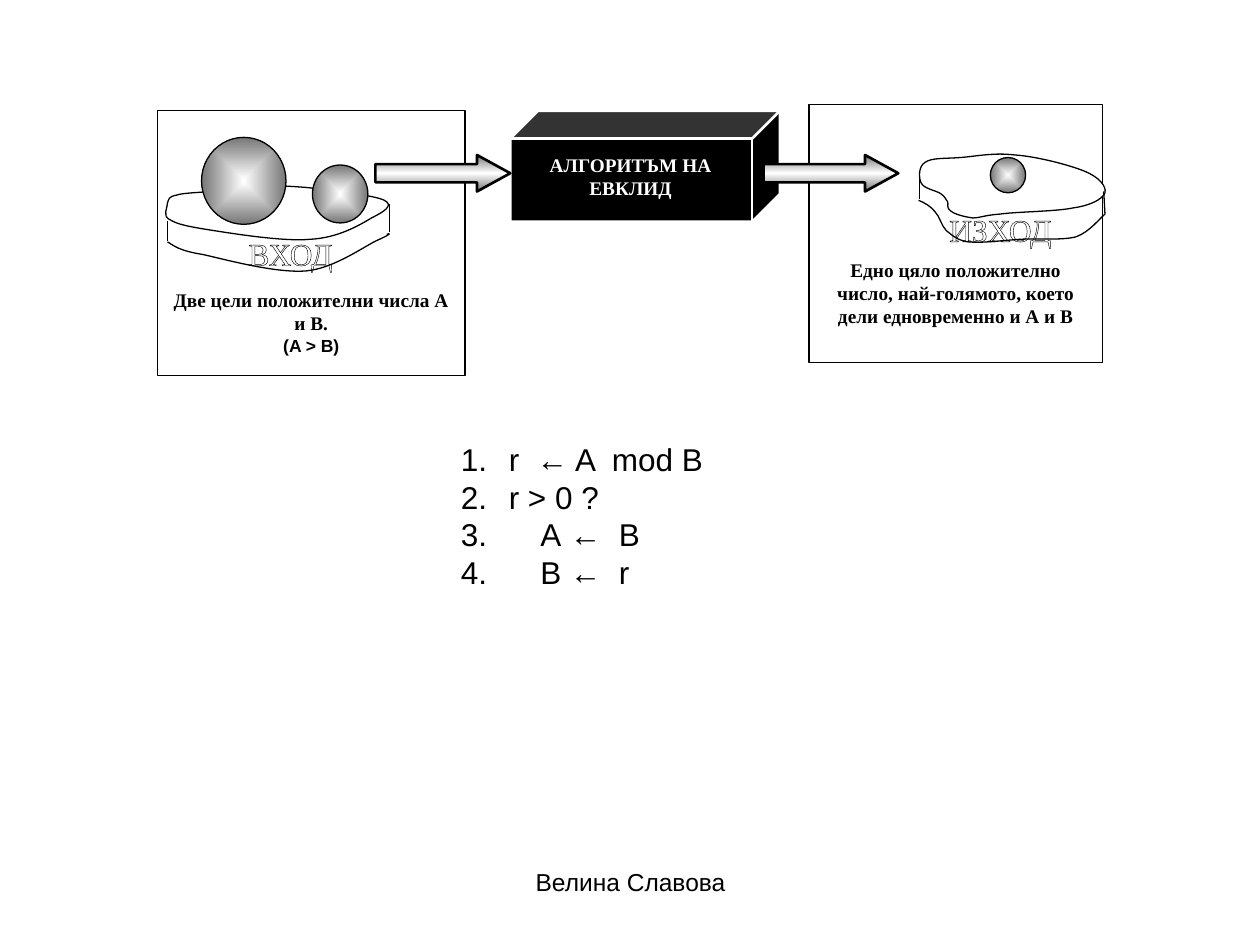
from dataclasses import dataclass

from lxml.etree import SubElement
from pptx import Presentation
from pptx.dml.color import RGBColor
from pptx.enum.shapes import MSO_CONNECTOR, MSO_SHAPE
from pptx.enum.text import MSO_ANCHOR, PP_ALIGN
from pptx.oxml import parse_xml
from pptx.oxml.ns import nsdecls, qn
from pptx.util import Inches, Pt


@dataclass(frozen=True)
class Theme:
    """Colours, fonts and sizes of the slide."""
    black: RGBColor = RGBColor(0, 0, 0)
    white: RGBColor = RGBColor(255, 255, 255)
    shade: str = "767676"
    light: str = "FFFFFF"
    serif: str = "Times New Roman"
    sans: str = "Arial"
    note: int = 10
    caption: int = 11
    footer: int = 14
    steps: int = 18
    thin: float = 0.75
    thick: float = 1.5


THEME = Theme()
BALL_PATH = '<a:path path="rect"><a:fillToRect l="50000" t="50000" r="50000" b="50000"/></a:path>'
ARROW_PATH = '<a:lin ang="5400000" scaled="1"/>'

INPUT_TOP = [
    (1.33, 1.61), (1.34, 1.58), (1.34, 1.56), (1.4, 1.55), (1.45, 1.53), (1.6, 1.53), (1.65, 1.52),
    (1.7, 1.51), (1.57, 1.46), (1.7, 1.46), (1.83, 1.46), (2.22, 1.47), (2.45, 1.49),
    (2.67, 1.52), (2.97, 1.55), (3.05, 1.59), (3.13, 1.63), (3.05, 1.68), (2.95, 1.73),
    (2.85, 1.79), (2.68, 1.89), (2.46, 1.9), (2.24, 1.92), (1.82, 1.85), (1.63, 1.82),
    (1.44, 1.79), (1.39, 1.77), (1.34, 1.74), (1.29, 1.71), (1.33, 1.65), (1.33, 1.61)]
INPUT_EDGE = [
    (1.33, 1.92), (1.38, 1.95), (1.42, 1.99), (1.61, 2.02), (1.79, 2.06), (2.19, 2.17), (2.43, 2.15),
    (2.66, 2.13), (2.91, 1.94), (3.01, 1.9), (3.12, 1.85), (3.09, 1.85), (3.07, 1.86)]
OUTPUT_TOP = [
    (7.47, 1.54), (7.43, 1.51), (7.33, 1.5), (7.31, 1.45), (7.29, 1.41), (7.29, 1.32), (7.34, 1.29),
    (7.39, 1.25), (7.51, 1.26), (7.63, 1.25), (7.75, 1.24), (7.89, 1.21), (8.05, 1.23),
    (8.22, 1.24), (8.49, 1.31), (8.61, 1.36), (8.73, 1.41), (8.78, 1.48), (8.77, 1.53),
    (8.75, 1.58), (8.66, 1.63), (8.52, 1.65), (8.38, 1.68), (8.07, 1.68), (7.93, 1.7),
    (7.8, 1.71), (7.78, 1.73), (7.72, 1.73), (7.65, 1.72), (7.57, 1.7), (7.54, 1.67),
    (7.51, 1.65), (7.53, 1.62), (7.52, 1.6), (7.51, 1.59), (7.5, 1.56), (7.47, 1.54)]
OUTPUT_EDGE = [
    (7.29, 1.59), (7.34, 1.61), (7.39, 1.64), (7.42, 1.68), (7.46, 1.72), (7.47, 1.79), (7.51, 1.83),
    (7.56, 1.87), (7.6, 1.91), (7.69, 1.92), (7.79, 1.93), (7.94, 1.91), (8.09, 1.9),
    (8.23, 1.89), (8.42, 1.91), (8.54, 1.88), (8.65, 1.84), (8.73, 1.73), (8.77, 1.7)]


def style(shape, fill, line, width):
    """Give a shape a plain fill, or none, and an outline."""
    shape.shadow.inherit = False
    if fill is None:
        shape.fill.background()
    else:
        shape.fill.solid()
        shape.fill.fore_color.rgb = fill
    shape.line.color.rgb = line
    shape.line.width = Pt(width)


def add_preset(slide, kind, box, fill=None, line=THEME.black, width=THEME.thin):
    """Add a styled preset shape."""
    shape = slide.shapes.add_shape(kind, *map(Inches, box))
    style(shape, fill, line, width)
    return shape


def set_gradient(shape, colours, direction):
    """Replace the empty fill by evenly spaced gradient stops."""
    stops = "".join(
        f'<a:gs pos="{100000 * i // (len(colours) - 1)}"><a:srgbClr val="{colour}"/></a:gs>'
        for i, colour in enumerate(colours))
    gradient = parse_xml(f'<a:gradFill {nsdecls("a")} rotWithShape="1">'
                         f'<a:gsLst>{stops}</a:gsLst>{direction}</a:gradFill>')
    properties = shape.element.spPr
    properties.replace(properties.find(qn("a:noFill")), gradient)


def add_ball(slide, *box):
    """Add a shaded ball that stands for a number."""
    set_gradient(add_preset(slide, MSO_SHAPE.OVAL, box), [THEME.light, THEME.shade], BALL_PATH)


def add_arrow(slide, left):
    """Add a shaded block arrow."""
    arrow = add_preset(slide, MSO_SHAPE.RIGHT_ARROW, (left, 1.23, 1.07, 0.29), width=THEME.thick)
    arrow.adjustments[1] = 0.91
    set_gradient(arrow, [THEME.shade, THEME.light, THEME.shade], ARROW_PATH)


def add_curve(slide, points, fill=None):
    """Draw a chain of cubic curves, closed when it returns to its start."""
    builder = slide.shapes.build_freeform(*map(Inches, points[0]))
    builder.add_line_segments([tuple(map(Inches, point)) for point in points[1:]],
                              close=points[0] == points[-1])
    shape = builder.convert_to_shape()
    segments = list(shape.element.iter(qn("a:lnTo")))
    for i in range(0, len(points) - 1, 3):
        curve = parse_xml(f'<a:cubicBezTo {nsdecls("a")}/>')
        segments[i].addprevious(curve)
        for segment in segments[i:i + 3]:
            curve.append(segment[0])
            segment.getparent().remove(segment)
    style(shape, fill, THEME.black, THEME.thin)


def add_edge(slide, *ends):
    """Add a thin side edge of a tray."""
    edge = slide.shapes.add_connector(MSO_CONNECTOR.STRAIGHT, *map(Inches, ends))
    edge.line.color.rgb = THEME.black
    edge.line.width = Pt(THEME.thin)
    SubElement(edge.element.spPr, qn("a:effectLst"))


def write(paragraph, text, size, font, colour=THEME.black, bold=False, align=PP_ALIGN.CENTER):
    """Fill and format one paragraph."""
    paragraph.text = text
    paragraph.alignment = align
    paragraph.font.size = Pt(size)
    paragraph.font.name = font
    paragraph.font.bold = bold
    paragraph.font.color.rgb = colour


def add_panel(slide, box, caption, caption_top):
    """Add a framed panel with its caption and return the text frame."""
    frame = add_preset(slide, MSO_SHAPE.RECTANGLE, box, THEME.white).text_frame
    frame.word_wrap = True
    frame.vertical_anchor = MSO_ANCHOR.TOP
    frame.margin_top = Inches(caption_top)
    write(frame.paragraphs[0], caption, THEME.caption, THEME.serif, bold=True)
    return frame


def add_textbox(slide, box, wrap=True):
    """Add a text box and return its frame."""
    frame = slide.shapes.add_textbox(*map(Inches, box)).text_frame
    frame.word_wrap = wrap
    return frame


def add_tray_label(slide, box, text):
    """Add an outlined tray label."""
    frame = add_textbox(slide, box, wrap=False)
    frame.margin_left = frame.margin_right = 0
    label = frame.paragraphs[0]
    write(label, text, THEME.steps, THEME.serif, THEME.white)
    outline = parse_xml(f'<a:ln {nsdecls("a")} w="{Pt(THEME.thin)}"><a:solidFill>'
                        f'<a:srgbClr val="{THEME.black}"/></a:solidFill></a:ln>')
    label.runs[0].font.color.rgb = THEME.white
    label.runs[0]._r.get_or_add_rPr().insert(0, outline)


def add_algorithm(slide):
    """Add the black box and its two arrows."""
    add_preset(slide, MSO_SHAPE.CUBE, (4.05, 0.88, 2.14, 0.88), THEME.black, THEME.white, THEME.thick)
    add_arrow(slide, 2.98)
    add_arrow(slide, 6.06)
    face = add_preset(slide, MSO_SHAPE.RECTANGLE, (4.09, 1.17, 1.83, 0.51), THEME.black,
                      width=THEME.thick).text_frame
    face.word_wrap = True
    face.vertical_anchor = MSO_ANCHOR.TOP
    write(face.paragraphs[0], "АЛГОРИТЪМ НА ЕВКЛИД", THEME.caption, THEME.serif, THEME.white, True)


def add_steps(slide, steps):
    """Add the numbered steps, each with its own text indent."""
    frame = add_textbox(slide, (3.56, 3.44, 2.46, 1.3))
    frame.vertical_anchor = MSO_ANCHOR.MIDDLE
    for i, (text, indent) in enumerate(steps):
        paragraph = frame.add_paragraph() if i else frame.paragraphs[0]
        properties = paragraph._p.get_or_add_pPr()
        properties.set("marL", str(Inches(indent)))
        properties.set("indent", str(-Inches(indent)))
        SubElement(properties, qn("a:buAutoNum"), type="arabicPeriod")
        write(paragraph, text, THEME.steps, THEME.sans, align=PP_ALIGN.LEFT)


def main():
    """Build the slide on Euclid's algorithm."""
    deck = Presentation()
    deck.slide_width, deck.slide_height = Inches(10), Inches(7.5)
    slide = deck.slides.add_slide(deck.slide_layouts[6])

    add_panel(slide, (6.42, 0.83, 2.33, 2.05),
              "Едно цяло положително число, най-голямото, което дели едновременно и А и В", 1.22)
    given = add_panel(slide, (1.25, 0.88, 2.44, 2.1), "Две цели положителни числа А и В.", 1.41)
    write(given.add_paragraph(), "(A > B)", THEME.note, THEME.sans, bold=True)

    add_tray_label(slide, (1.76, 1.81, 1.09, 0.35), "ВХОД")
    add_curve(slide, INPUT_TOP, THEME.white)
    add_curve(slide, INPUT_EDGE)
    add_edge(slide, 3.09, 1.62, 3.09, 1.84)
    add_edge(slide, 1.33, 1.75, 1.33, 1.91)
    add_ball(slide, 1.6, 1.09, 0.67, 0.69)
    add_ball(slide, 2.48, 1.31, 0.44, 0.46)

    add_algorithm(slide)

    add_tray_label(slide, (7.52, 1.62, 0.84, 0.32), "ИЗХОД")
    add_curve(slide, OUTPUT_TOP, THEME.white)
    add_curve(slide, OUTPUT_EDGE)
    add_edge(slide, 7.3, 1.58, 7.3, 1.38)
    add_edge(slide, 8.77, 1.7, 8.76, 1.52)
    add_ball(slide, 7.86, 1.25, 0.28, 0.28)

    add_steps(slide, [("r  ← A  mod B", 0.38), ("r > 0 ?", 0.38), ("А ←  B", 0.63), ("В ←  r", 0.63)])
    author = add_textbox(slide, (3.42, 6.83, 3.17, 0.52))
    write(author.paragraphs[0], "Велина Славова", THEME.footer, THEME.sans)
    deck.save("out.pptx")


if __name__ == "__main__":
    main()
